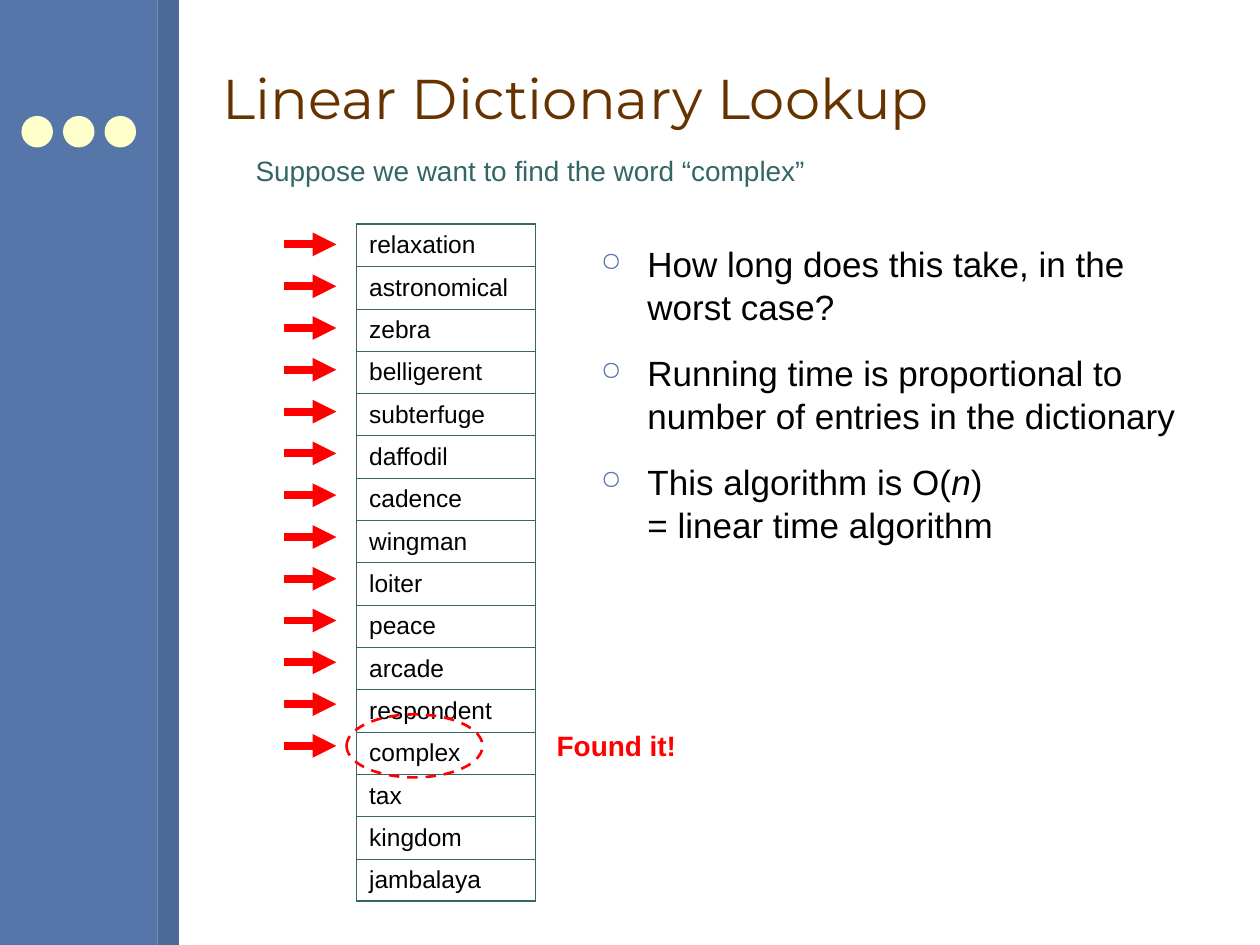
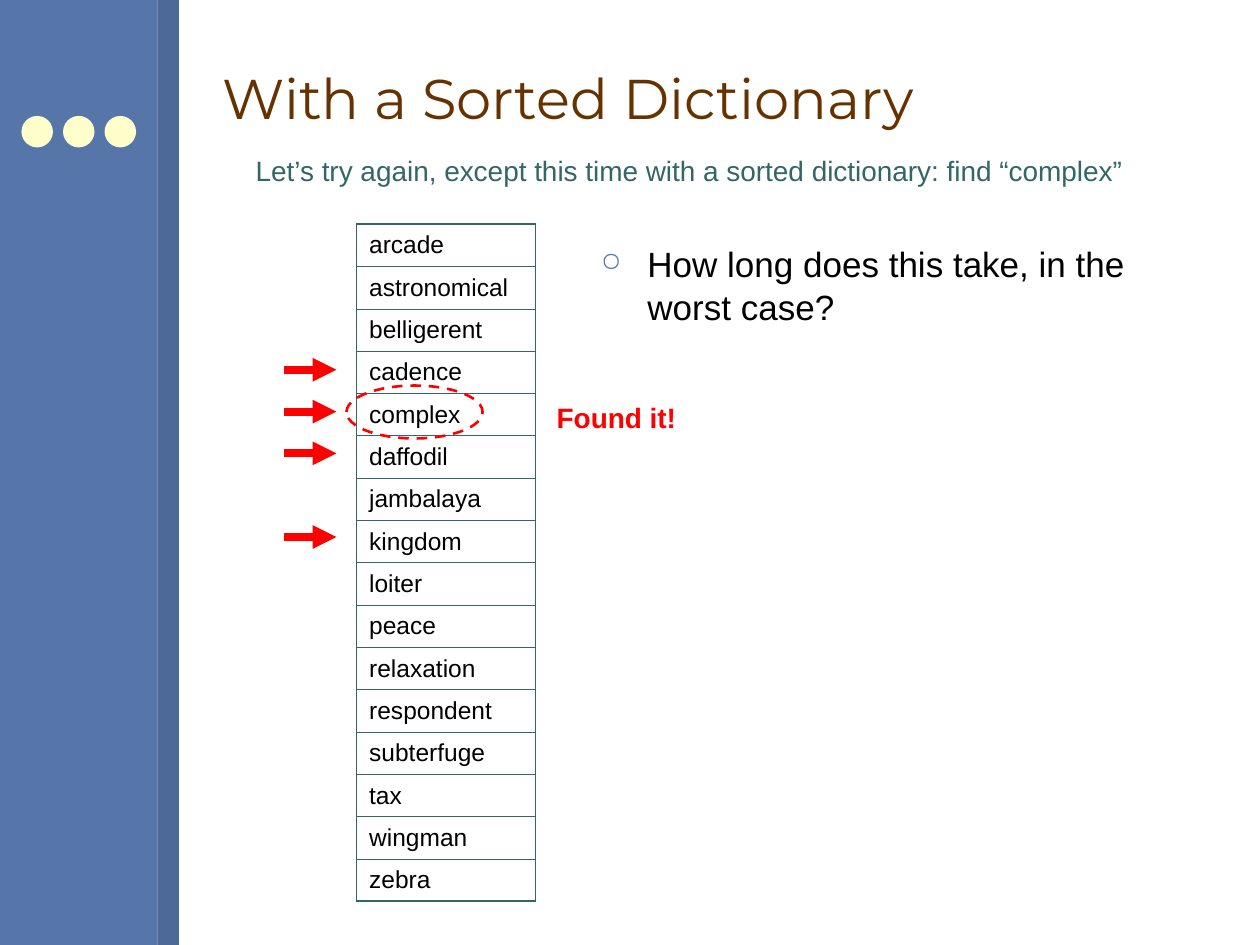
import pptx
import pptx.dml.color
import pptx.enum.dml
import pptx.enum.shapes
import pptx.enum.text
import pptx.oxml
import pptx.oxml.ns
import pptx.util

Inches = pptx.util.Inches
Pt = pptx.util.Pt
Shape = pptx.enum.shapes.MSO_SHAPE
Anchor = pptx.enum.text.MSO_ANCHOR

BAND, BAND_EDGE, DOT = "5675A9", "4D6997", "FFFFCC"
TITLE, TEAL, RED, BLACK = "663300", "336666", "FF0000", "000000"
LINE_SPACING = 1.04
WORD_ROW = 0.336
FIRST_ARROW, ARROW_STEP = 1.94, 3.98 / 12

WORDS = ["relaxation", "astronomical", "zebra", "belligerent", "subterfuge",
         "daffodil", "cadence", "wingman", "loiter", "peace", "arcade",
         "respondent", "complex", "tax", "kingdom", "jambalaya"]


def color(hex_value):
    return pptx.dml.color.RGBColor.from_string(hex_value)


def add_xml(parent, tag, content="", **attributes):
    """Append an a: element with the given attributes and inner XML."""
    settings = " ".join(f'{name}="{value}"' for name, value in attributes.items())
    namespace = pptx.oxml.ns.nsdecls("a")
    parent.append(pptx.oxml.parse_xml(
        f"<a:{tag} {namespace} {settings}>{content}</a:{tag}>"))


class LookupDeck:
    def __init__(self):
        self.deck = pptx.Presentation()
        self.deck.slide_width = Inches(10)
        self.deck.slide_height = Inches(7.5)
        self.page = None

    def add_page(self, title):
        self.page = self.deck.slides.add_slide(self.deck.slide_layouts[6])
        self.shape(Shape.RECTANGLE, 0, 0, 1.25, 7.5, BAND)
        self.shape(Shape.RECTANGLE, 1.25, 0, 0.17, 7.5, BAND_EDGE)
        for left in (0.17, 0.5, 0.83):
            self.shape(Shape.OVAL, left, 0.92, 0.25, 0.25, DOT)
        self.text(title, 1.67, 0.21, 8, 1.13, 32, TITLE, font="Montserrat",
                  anchor=Anchor.MIDDLE, wrap=True)

    def shape(self, kind, left, top, width, height, fill=None):
        shape = self.page.shapes.add_shape(
            kind, Inches(left), Inches(top), Inches(width), Inches(height))
        shape.shadow.inherit = False
        shape.line.fill.background()
        if fill:
            shape.fill.solid()
            shape.fill.fore_color.rgb = color(fill)
        else:
            shape.fill.background()
        return shape

    def style(self, para, size, hue, font="Arial", bold=False):
        para.font.size = Pt(size)
        para.font.name = font
        para.font.bold = bold
        para.font.color.rgb = color(hue)

    def text_box(self, left, top, width, height, wrap):
        box = self.page.shapes.add_textbox(
            Inches(left), Inches(top), Inches(width), Inches(height))
        box.text_frame.word_wrap = wrap
        return box.text_frame

    def text(self, words, left, top, width, height, size, hue, font="Arial",
             bold=False, anchor=Anchor.TOP, wrap=False):
        frame = self.text_box(left, top, width, height, wrap)
        frame.vertical_anchor = anchor
        para = frame.paragraphs[0]
        para.text = words
        self.style(para, size, hue, font, bold)

    def subtitle(self, words, width):
        self.text(words, 1.93, 1.17, width, 0.37, 16, TEAL)

    def bullets(self, items):
        """Each item is a list of (text, italic) spans."""
        frame = self.text_box(4.67, 1.86, 5, 5.3, wrap=True)
        for index, spans in enumerate(items):
            para = frame.add_paragraph() if index else frame.paragraphs[0]
            para.line_spacing = LINE_SPACING
            para.space_before = Pt(6.2 if index else 0)
            para.space_after = Pt(6.2)
            properties = para._p.get_or_add_pPr()
            properties.set("marL", str(Inches(0.37)))
            properties.set("indent", str(Inches(-0.37)))
            add_xml(properties, "buClr", f'<a:srgbClr val="{BAND}"/>')
            add_xml(properties, "buSzPct", val=75000)
            add_xml(properties, "buChar", char="○")
            self.style(para, 20, BLACK)
            for words, italic in spans:
                for number, line in enumerate(words.split("\n")):
                    if number:
                        para.add_line_break()
                    span = para.add_run()
                    span.text = line
                    if italic:
                        span.font.italic = True

    def word_table(self, words):
        frame = self.page.shapes.add_table(
            len(words), 1, Inches(2.83), Inches(1.78), Inches(1.42),
            Inches(WORD_ROW * len(words)))
        table = frame.table
        table.first_row = table.horz_banding = False
        last = len(words) - 1
        for index, word in enumerate(words):
            table.rows[index].height = Inches(WORD_ROW)
            cell = table.cell(index, 0)
            cell.vertical_anchor = Anchor.MIDDLE
            para = cell.text_frame.paragraphs[0]
            para.text = word
            self.style(para, 14, BLACK)
            self.borders(cell, top=1.08 if index == 0 else 0.45,
                         bottom=1.08 if index == last else 0.45)
            cell.fill.background()

    def borders(self, cell, top, bottom):
        properties = cell._tc.get_or_add_tcPr()
        fill = f'<a:solidFill><a:srgbClr val="{TEAL}"/></a:solidFill>'
        for tag, width in (("lnL", 1.08), ("lnR", 1.08), ("lnT", top), ("lnB", bottom)):
            add_xml(properties, tag, fill, w=int(Pt(width)))

    def arrow(self, row):
        y = Inches(FIRST_ARROW + row * ARROW_STEP)
        arrow = self.page.shapes.add_connector(
            pptx.enum.shapes.MSO_CONNECTOR.STRAIGHT, Inches(2.25), y, Inches(2.67), y)
        arrow.line.width = Pt(4.5)
        arrow.line.color.rgb = color(RED)
        add_xml(arrow.line._get_or_add_ln(), "tailEnd", type="triangle")
        add_xml(arrow._element.spPr, "effectLst")

    def found(self, top, height, label_top):
        ring = self.shape(Shape.OVAL, 2.75, top, 1.08, height)
        ring.line.color.rgb = color(RED)
        ring.line.width = Pt(1.5)
        ring.line.dash_style = pptx.enum.dml.MSO_LINE.DASH
        self.text("Found it!", 4.32, label_top, 1.15, 0.37, 16, RED, bold=True)

    def lookup(self, words, probed_rows):
        self.word_table(words)
        for row in probed_rows:
            self.arrow(row)


def main():
    deck = LookupDeck()
    question = [("How long does this take, in the worst case?", False)]

    deck.add_page("Linear Dictionary Lookup")
    deck.subtitle("Suppose we want to find the word “complex”", 4.56)
    deck.bullets([
        question,
        [("Running time is proportional to number of entries in the dictionary", False)],
        [("This algorithm is O(", False), ("n", True),
         (")\n= linear time algorithm", False)],
    ])
    deck.lookup(WORDS, range(WORDS.index("complex") + 1))
    deck.found(5.67, 0.5, 5.73)

    deck.add_page("With a Sorted Dictionary")
    deck.subtitle("Let’s try again, except this time with a sorted dictionary: "
                  "find “complex”", 7.08)
    deck.bullets([question])
    ordered = sorted(WORDS)
    deck.lookup(ordered, [ordered.index(word) for word in
                          ("cadence", "complex", "daffodil", "kingdom")])
    deck.found(3.06, 0.42, 3.13)

    deck.deck.save("out.pptx")


if __name__ == "__main__":
    main()
